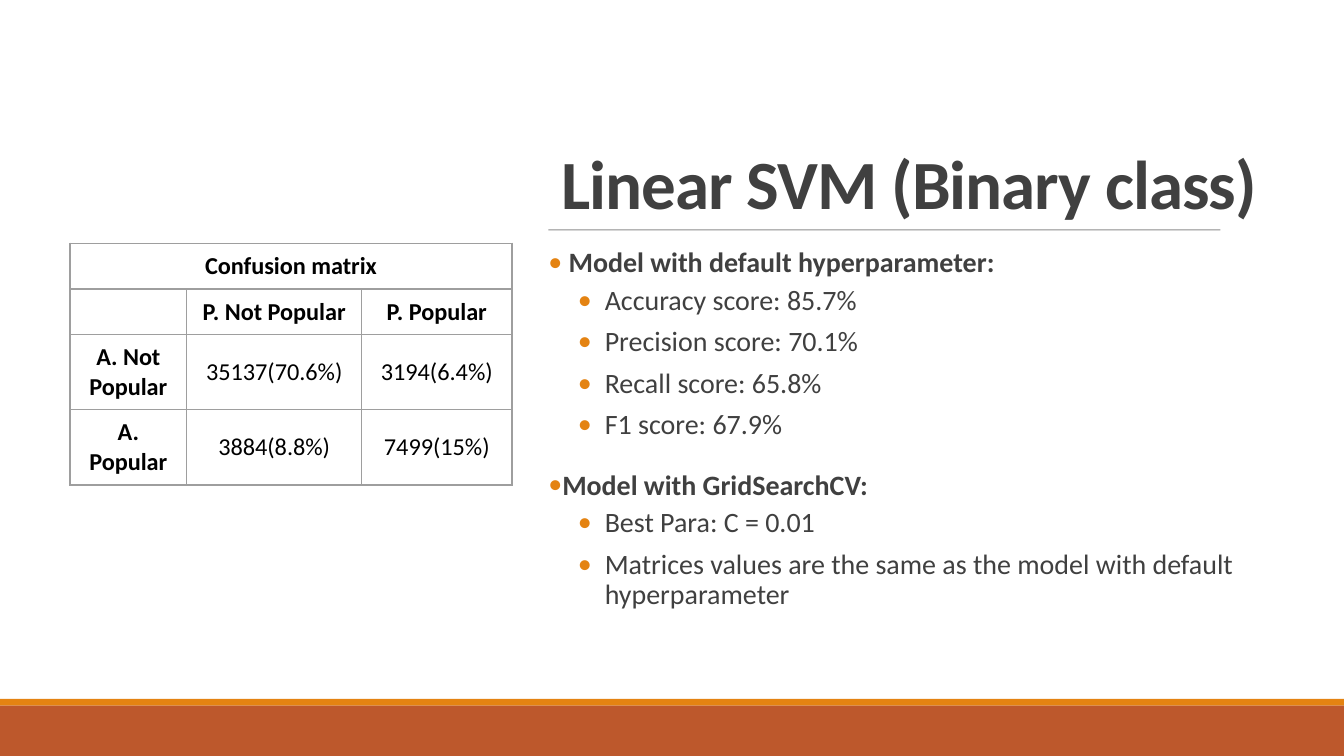
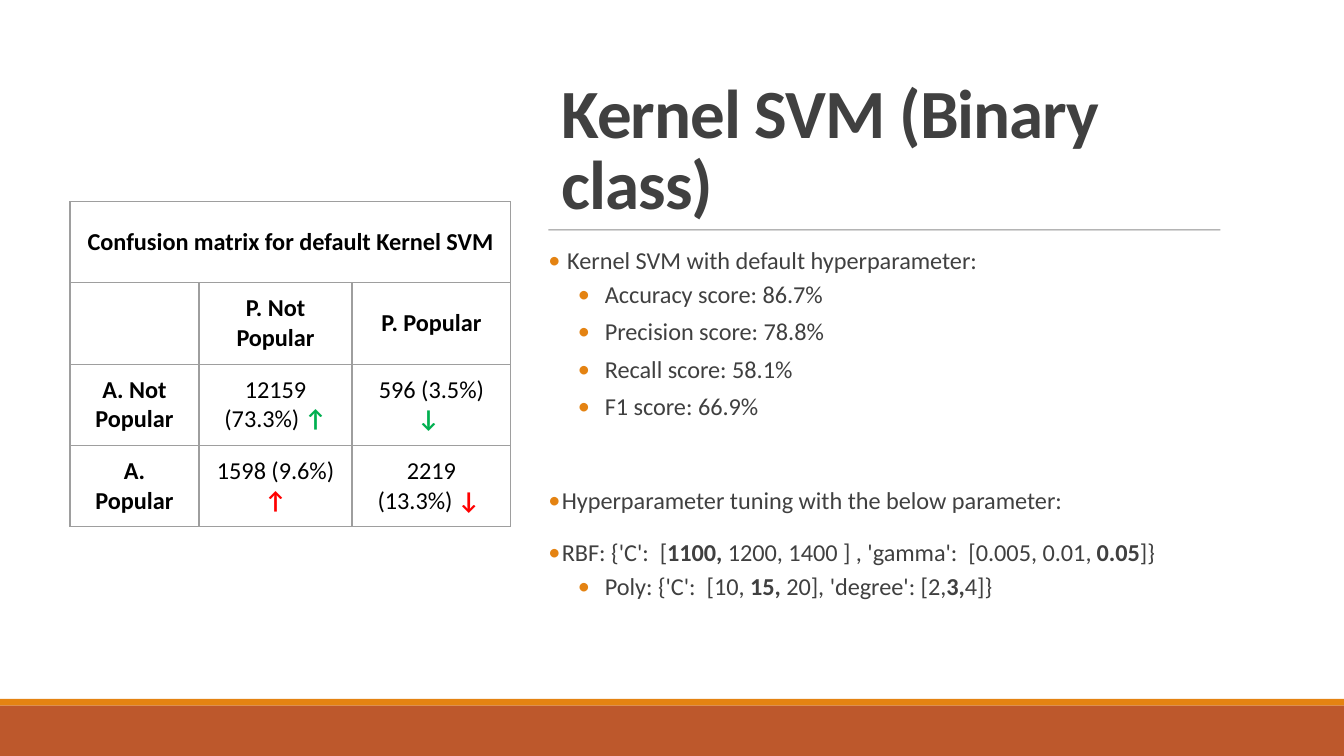
from dataclasses import dataclass
from typing import NamedTuple

from lxml.etree import SubElement
from pptx import Presentation
from pptx.dml.color import RGBColor
from pptx.enum.shapes import MSO_CONNECTOR, MSO_SHAPE
from pptx.enum.text import MSO_ANCHOR, PP_ALIGN
from pptx.oxml.ns import qn
from pptx.util import Inches, Pt

WIDE, HIGH = Inches(10), Inches(5.625)
COL, ROW = WIDE / 100, HIGH / 56.25

WHITE = RGBColor(0xFF, 0xFF, 0xFF)
BLACK = RGBColor(0, 0, 0)
INK = RGBColor(0x40, 0x40, 0x40)
RULE = RGBColor(0x80, 0x80, 0x80)
EDGE = RGBColor(0x9E, 0x9E, 0x9E)
AMBER = RGBColor(0xE4, 0x83, 0x12)
RUST = RGBColor(0xBD, 0x58, 0x2C)
GREEN = RGBColor(0, 0xB0, 0x50)
RED = RGBColor(0xFF, 0, 0)

FONT = "Calibri"
ARROWS = ("↑", "↓")
LEFT = 40.8
SPAN = 53.9


class Box(NamedTuple):
    """Place on the grid, in columns and rows."""
    x: float
    y: float
    w: float
    h: float

    def emu(self) -> list[int]:
        units = (COL, ROW, COL, ROW)
        return [round(part * unit) for part, unit in zip(self, units)]


class Band(NamedTuple):
    box: Box
    fill: RGBColor


class Item(NamedTuple):
    text: str
    level: int = 1
    gap: float = 0


class Line(NamedTuple):
    """Cells of one table row, and the colour of its arrows."""
    cells: tuple[str, ...]
    tint: RGBColor = BLACK


class Level(NamedTuple):
    left: float
    hang: float
    before: float
    after: float


@dataclass
class Matrix:
    box: Box
    cols: tuple[float, ...]
    rows: tuple[float, ...]
    pad: tuple[float, float]
    lines: tuple[Line, ...]


@dataclass
class Page:
    title: str
    size: float
    items: tuple[Item, ...]
    matrix: Matrix


BANDS = (
    Band(Box(0, 0, 100, 52), WHITE),
    Band(Box(0, 52, 100, 0.5), AMBER),
    Band(Box(0, 52.5, 100, 3.75), RUST),
)
LEVELS = (Level(0.1, 0.1, 12, 2), Level(0.42, 0.2, 2, 4))
HEAD = Line(("", "*P. Not Popular*", "*P. Popular*"))

PAGES = (
    Page(
        "Linear SVM (Binary class)", 15,
        (
            Item("* Model with default hyperparameter:*", 0),
            Item("Accuracy score: 85.7%"),
            Item("Precision score: 70.1%"),
            Item("Recall score: 65.8%"),
            Item("F1 score: 67.9%"),
            Item("*Model with GridSearchCV:*", 0),
            Item("Best Para: C = 0.01"),
            Item("Matrices values are the same as the model with default "
                 "hyperparameter"),
        ),
        Matrix(
            Box(5.2, 18.1, 32.8, 18), (8.7, 13, 11.2), (3.4, 3.4, 5.6, 5.6),
            (0.9, 0.5),
            (
                Line(("*Confusion matrix*", "", "")),
                HEAD,
                Line(("*A. Not Popular*", "35137(70.6%)", "3194(6.4%)")),
                Line(("*A. Popular*", "3884(8.8%)", "7499(15%)")),
            ),
        ),
    ),
    Page(
        "Kernel SVM (Binary class)", 13,
        (
            Item(" Kernel SVM with default hyperparameter:", 0),
            Item("Accuracy score: 86.7%"),
            Item("Precision score: 78.8%"),
            Item("Recall score: 58.1%"),
            Item("F1 score: 66.9%"),
            Item("Hyperparameter tuning with the below parameter:", 0, 20),
            Item("RBF: {'C':  [*1100, *1200, 1400 ] , 'gamma':  "
                 "[0.005, 0.01, *0.05*]}", 0),
            Item("Poly: {'C':  [10, *15, *20], 'degree': [2,*3,*4]}"),
        ),
        Matrix(
            Box(5.2, 15, 32.8, 24.2), (9.6, 11.4, 11.8), (6.05,) * 4,
            (1.1, 0.6),
            (
                Line(("*Confusion matrix for default Kernel SVM*", "", "")),
                HEAD,
                Line(("*A. Not Popular*", "12159 (73.3%) *↑*",
                      "596 (3.5%) *↓ *"), GREEN),
                Line(("*A. Popular*", "1598 (9.6%) *↑*",
                      "2219 (13.3%)* ↓ *"), RED),
            ),
        ),
    ),
)


def apply(target, values: dict) -> None:
    for name, value in values.items():
        setattr(target, name, value)


def write(para, text: str, size: float, ink: RGBColor,
          tint: RGBColor = BLACK) -> None:
    """Add runs; text between asterisks is bold, and bold arrows are tinted."""
    for spot, part in enumerate(text.split("*")):
        if part:
            run = para.add_run()
            run.text = part
            apply(run.font, {"name": FONT, "size": Pt(size),
                             "bold": spot % 2 == 1})
            arrow = part.strip() in ARROWS
            run.font.color.rgb = tint if arrow else ink


def frame(slide, box: Box, values: dict):
    text = slide.shapes.add_textbox(*box.emu()).text_frame
    apply(text, {"word_wrap": True, **values})
    return text


def draw_band(slide, band: Band) -> None:
    shape = slide.shapes.add_shape(MSO_SHAPE.RECTANGLE, *band.box.emu())
    shape.shadow.inherit = False
    shape.fill.solid()
    shape.fill.fore_color.rgb = band.fill
    shape.line.fill.background()


def draw_rule(slide) -> None:
    x, y, w, _ = Box(LEFT, 17.1, 50, 0).emu()
    rule = slide.shapes.add_connector(MSO_CONNECTOR.STRAIGHT, x, y, x + w, y)
    rule.line.color.rgb = RULE
    rule.line.width = Pt(0.5)
    props = rule.element.spPr
    tone = props.find(".//" + qn("a:srgbClr"))
    SubElement(tone, qn("a:alpha"), val="90000")
    SubElement(props, qn("a:effectLst"))


def draw_title(slide, title: str) -> None:
    text = frame(slide, Box(LEFT, 5.2, SPAN, 11.9),
                 {"vertical_anchor": MSO_ANCHOR.BOTTOM})
    para = text.paragraphs[0]
    para.line_spacing = 0.85
    write(para, f"*{title}*", 37, INK)
    para.runs[0].font._element.set("spc", "-50")


def add_bullet(para, level: Level) -> None:
    props = para._p.get_or_add_pPr()
    props.set("marL", str(Inches(level.left)))
    props.set("indent", str(-Inches(level.hang)))
    tone = SubElement(props, qn("a:buClr"))
    SubElement(tone, qn("a:srgbClr"), val=str(AMBER))
    SubElement(props, qn("a:buFont"), typeface=FONT)
    SubElement(props, qn("a:buChar"), char="•")


def draw_items(slide, items: tuple[Item, ...], size: float) -> None:
    text = frame(slide, Box(LEFT, 18, SPAN, 30.1),
                 {"margin_left": 0, "margin_right": 0})
    for spot, item in enumerate(items):
        para = text.add_paragraph() if spot else text.paragraphs[0]
        level = LEVELS[item.level]
        apply(para, {"level": item.level, "line_spacing": 0.9,
                     "space_before": Pt(level.before + item.gap),
                     "space_after": Pt(level.after)})
        add_bullet(para, level)
        write(para, item.text, size, INK)


def edge_cell(cell) -> None:
    """Clear the fill and draw a thin line on all four sides."""
    cell.fill.background()
    props = cell._tc.get_or_add_tcPr()
    for spot, side in enumerate(("lnL", "lnR", "lnT", "lnB")):
        line = SubElement(props, qn("a:" + side), w=str(Pt(0.75)))
        fill = SubElement(line, qn("a:solidFill"))
        SubElement(fill, qn("a:srgbClr"), val=str(EDGE))
        props.insert(spot, line)


def draw_matrix(slide, matrix: Matrix) -> None:
    table = slide.shapes.add_table(
        len(matrix.rows), len(matrix.cols), *matrix.box.emu()).table
    apply(table, {"first_row": False, "horz_banding": False})
    for col, wide in zip(table.columns, matrix.cols):
        col.width = round(wide * COL)
    for row, high in zip(table.rows, matrix.rows):
        row.height = round(high * ROW)
    side, top = round(matrix.pad[0] * COL), round(matrix.pad[1] * ROW)
    look = {"vertical_anchor": MSO_ANCHOR.MIDDLE,
            "margin_left": side, "margin_right": side,
            "margin_top": top, "margin_bottom": top}
    for row, line in zip(table.rows, matrix.lines):
        for cell, text in zip(row.cells, line.cells):
            apply(cell, look)
            edge_cell(cell)
            para = cell.text_frame.paragraphs[0]
            para.alignment = PP_ALIGN.CENTER
            write(para, text, 13, BLACK, line.tint)
            SubElement(para._p, qn("a:endParaRPr"), sz="1300")
    table.cell(0, 0).merge(table.cell(0, len(matrix.cols) - 1))


def draw_page(deck, page: Page) -> None:
    slide = deck.slides.add_slide(deck.slide_layouts[6])
    for band in BANDS:
        draw_band(slide, band)
    draw_rule(slide)
    draw_title(slide, page.title)
    draw_items(slide, page.items, page.size)
    draw_matrix(slide, page.matrix)


def main() -> None:
    deck = Presentation()
    apply(deck, {"slide_width": WIDE, "slide_height": HIGH})
    for page in PAGES:
        draw_page(deck, page)
    deck.save("out.pptx")


if __name__ == "__main__":
    main()
